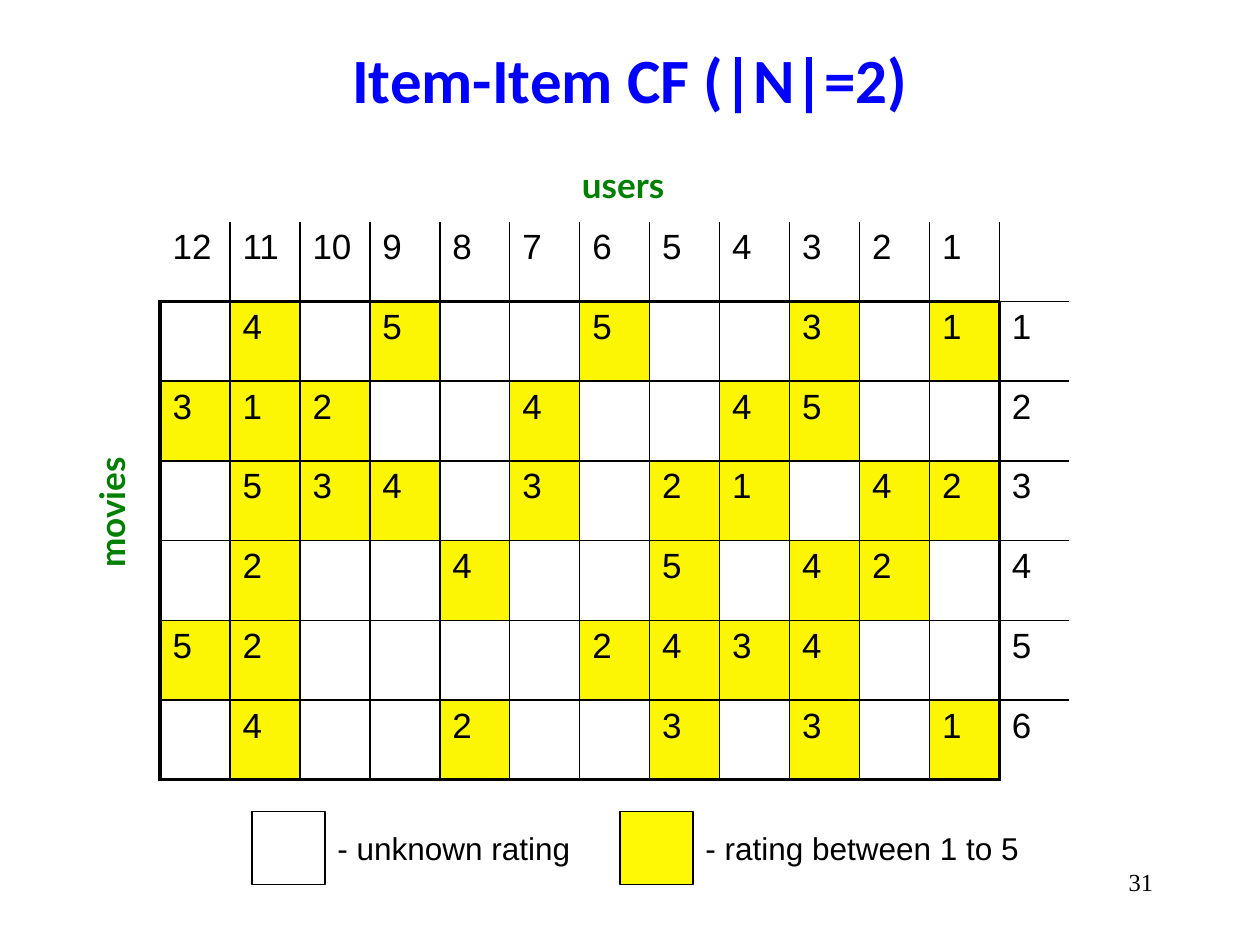
from pptx import Presentation
from pptx.dml.color import RGBColor
from pptx.enum.shapes import MSO_SHAPE
from pptx.enum.text import MSO_ANCHOR, PP_ALIGN
from pptx.oxml.xmlchemy import OxmlElement
from pptx.util import Inches, Pt

RECTANGLE = MSO_SHAPE.RECTANGLE
TOP, MIDDLE = MSO_ANCHOR.TOP, MSO_ANCHOR.MIDDLE
LEFT, CENTER, RIGHT = PP_ALIGN.LEFT, PP_ALIGN.CENTER, PP_ALIGN.RIGHT

BLACK = RGBColor(0x00, 0x00, 0x00)
WHITE = RGBColor(0xFF, 0xFF, 0xFF)
BLUE = RGBColor(0x00, 0x00, 0xFF)
GREEN = RGBColor(0x00, 0x80, 0x00)
RATED = RGBColor(0xFC, 0xF6, 0x04)
KEY_YELLOW = RGBColor(0xFF, 0xF9, 0x05)

THIN, THICK = 1, 2.25
RATINGS = [
    ".4.5..5..3.1",
    "312..4..45..",
    ".534.3.21.42",
    ".2..4..5.42.",
    "52....2434..",
    ".4..2..3.3.1",
]
USERS, MOVIES = len(RATINGS[0]), len(RATINGS)


def style_span(span, size, font, color, bold=False):
    """Format one run of text."""
    span.font.size = Pt(size)
    span.font.name = font
    span.font.bold = bold
    span.font.color.rgb = color


def add_text(page, box, text, size=18, font="Arial", color=BLACK, bold=False,
             align=LEFT, anchor=TOP, rotation=0):
    """Place a line of formatted text in a box."""
    shape = page.shapes.add_textbox(*map(Inches, box))
    shape.rotation = rotation
    frame = shape.text_frame
    frame.word_wrap = True
    frame.vertical_anchor = anchor
    para = frame.paragraphs[0]
    para.alignment = align
    span = para.add_run()
    span.text = text
    style_span(span, size, font, color, bold)


def column_edge(row, edge):
    """Return the width of a vertical rule, or zero."""
    if row == 0:
        return THIN if 0 < edge <= USERS else 0
    if edge > USERS:
        return 0
    return THICK if edge in (0, USERS) else THIN


def row_edge(edge, column):
    """Return the width of a horizontal rule, or zero."""
    if column == USERS:
        return THIN if 0 < edge <= MOVIES else 0
    if edge == 0:
        return 0
    return THICK if edge in (1, MOVIES + 1) else THIN


def set_border(cell, side, width):
    """Draw or hide one border of a cell."""
    line = OxmlElement(f"a:ln{side}")
    if width:
        line.set("w", str(Pt(width)))
        fill = OxmlElement("a:solidFill")
        color = OxmlElement("a:srgbClr")
        color.set("val", str(BLACK))
        fill.append(color)
        line.append(fill)
    else:
        line.append(OxmlElement("a:noFill"))
    cell._tc.get_or_add_tcPr().append(line)


def cell_text(row, column):
    """Return a user number, a movie number or a rating."""
    if row == 0:
        return str(USERS - column) if column < USERS else ""
    if column == USERS:
        return str(row)
    return RATINGS[row - 1][column].strip(".")


def add_ratings(page, box):
    """Build the movie by user table of ratings."""
    rows, columns = MOVIES + 1, USERS + 1
    table = page.shapes.add_table(rows, columns, *map(Inches, box)).table
    table.first_row = table.horz_banding = False
    for column in table.columns:
        column.width = Inches(box[2] / columns)
    for row in table.rows:
        row.height = Inches(box[3] / rows)
    for row in range(rows):
        for column in range(columns):
            cell = table.cell(row, column)
            text = cell_text(row, column)
            set_border(cell, "L", column_edge(row, column))
            set_border(cell, "R", column_edge(row, column + 1))
            set_border(cell, "T", row_edge(row, column))
            set_border(cell, "B", row_edge(row + 1, column))
            if text and row and column < USERS:
                cell.fill.solid()
                cell.fill.fore_color.rgb = RATED
            else:
                cell.fill.background()
            if text:
                span = cell.text_frame.paragraphs[0].add_run()
                span.text = text
                style_span(span, 20, "Arial", BLACK)


def add_key(page, box, color, text):
    """Place a colour square and its meaning."""
    left, top, width, side = box
    square = page.shapes.add_shape(
        RECTANGLE, *map(Inches, (left, top, side, side)))
    square.shadow.inherit = False
    square.fill.solid()
    square.fill.fore_color.rgb = color
    square.line.color.rgb = BLACK
    square.line.width = Pt(0.75)
    add_text(page, (left + side, top, width - side, side), text, anchor=MIDDLE)


def main():
    """Build and save the slide."""
    deck = Presentation()
    deck.slide_width, deck.slide_height = Inches(10), Inches(7.5)
    page = deck.slides.add_slide(deck.slide_layouts[6])
    add_text(page, (0.5, 0, 9, 1.25), "Item-Item CF (|N|=2)", size=36,
             font="Calibri", color=BLUE, bold=True, align=CENTER, anchor=MIDDLE)
    add_ratings(page, (1.27, 1.76, 7.22, 4.43))
    axis = {"size": 20, "font": "Lato", "color": GREEN, "bold": True}
    add_text(page, (4.52, 1.25, 1.19, 0.44), "users", **axis)
    add_text(page, (0.16, 3.66, 1.45, 0.44), "movies", rotation=270, **axis)
    add_key(page, (2, 6.44, 2.75, 0.58), WHITE, "- unknown rating")
    add_key(page, (4.92, 6.44, 3.5, 0.58), KEY_YELLOW, "- rating between 1 to 5")
    add_text(page, (7.17, 6.83, 2.08, 0.5), "31", size=14,
             font="Times New Roman", align=RIGHT)
    deck.save("out.pptx")


if __name__ == "__main__":
    main()
